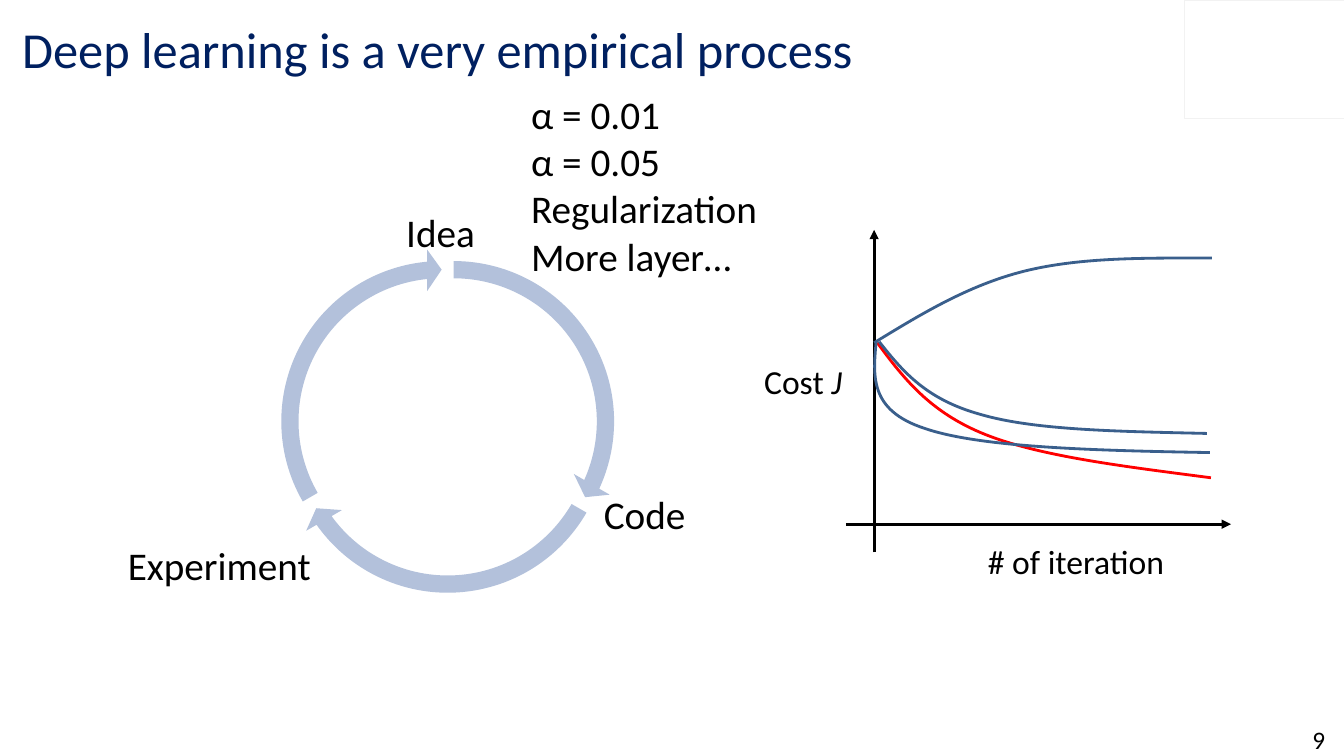
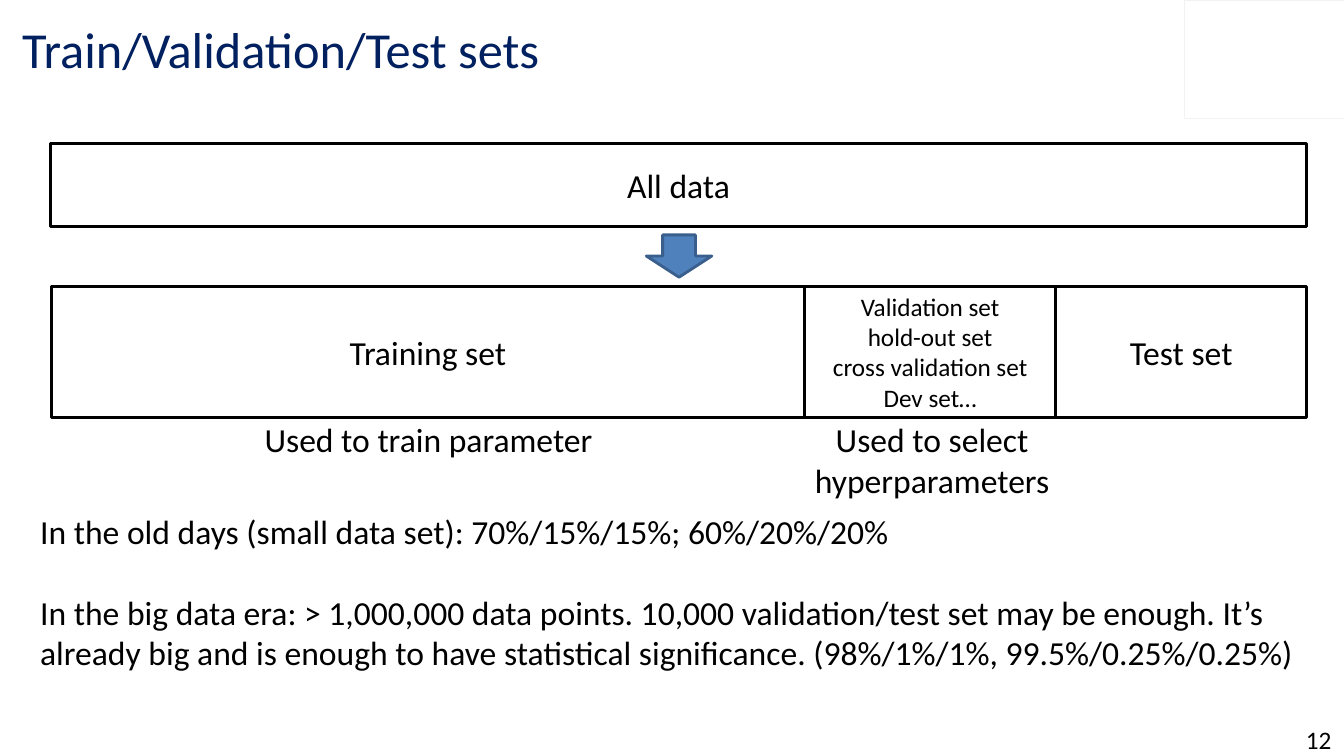
from dataclasses import dataclass

from lxml.etree import SubElement
from pptx import Presentation
from pptx.dml.color import RGBColor
from pptx.enum.shapes import MSO_CONNECTOR, MSO_SHAPE
from pptx.enum.text import MSO_ANCHOR as Anchor, MSO_AUTO_SIZE, PP_ALIGN as Align
from pptx.oxml.ns import qn
from pptx.util import Pt

PX = 9144  # EMU per px, 100 px to the inch
TITLE_ONLY = 5


@dataclass(frozen=True)
class Theme:
    font: str = "Calibri"
    title: str = "002060"
    ink: str = "000000"
    paper: str = "FFFFFF"
    frame: str = "F2F2F2"
    cycle: str = "B3C1DB"
    arrow: str = "4F81BD"
    curve: str = "3A5F8C"
    highlight: str = "FF0000"
    title_size: int = 36
    large: int = 28
    body: int = 24
    small: int = 18
    rule: float = 2.25
    curve_rule: float = 2


THEME = Theme()

SLIDE_SIZE = (1333, 750)
TITLE_BOX = (12, 10, 1029, 75)
CORNER_BOX = (1174, 0, 159, 117)
NUMBER_BOX = (1283, 717, 50, 33)

# Cycle: position of each arrow, then its end and start angle adjustments
CYCLE_SIZE = 342
CYCLE_ARROWS = [
    (279, 247, 14.72, 161.99),
    (273, 258, 86.72, 18.01),
    (267, 247, 158.73, 90),
]
CYCLE_LABELS = [
    ("Idea", (393, 202, 89, 57)),
    ("Code", (589, 482, 102, 57)),
    ("Experiment", (117, 532, 203, 57)),
]
TRIALS = ["α = 0.01", "α = 0.05", "Regularization", "More layer…"]
TRIALS_BOX = (517, 85, 246, 199)

# Cost chart: each curve is a start followed by two Bézier segments
AXES = [((867, 548), (867, 228)), ((839, 520), (1221, 520))]
COST_BOX = (748, 353, 98, 50)
ITERATION_BOX = (970, 532, 197, 50)
COST_CURVES = [
    (THEME.highlight, [(870, 340), (896, 375), (922, 409), (977, 431),
                       (1032, 453), (1117, 463), (1201, 474)]),
    (THEME.curve, [(869, 339), (866, 373), (862, 407), (917, 425),
                   (972, 444), (1086, 447), (1200, 449)]),
    (THEME.curve, [(867, 340), (913, 312), (960, 283), (1016, 269),
                   (1072, 255), (1137, 256), (1202, 256)]),
    (THEME.curve, [(872, 339), (895, 368), (918, 396), (972, 411),
                   (1026, 427), (1111, 428), (1197, 430)]),
]

# Data sets: text, type size and share of the row
ALL_DATA_BOX = (50, 142, 1246, 83)
DOWN_ARROW_BOX = (641, 233, 65, 42)
SETS_LEFT, SETS_TOP, SETS_HEIGHT, SHARE_WIDTH = 51, 284, 130, 249
DATA_SETS = [
    (["Training set"], THEME.body, 3),
    (["Validation set", "hold-out set", "cross validation set", "Dev set…"],
     THEME.small, 1),
    (["Test set"], THEME.body, 1),
]
CAPTIONS = [
    ("Used to train parameter", (251, 411, 348, 50), False),
    ("Used to select hyperparameters", (786, 411, 277, 91), True),
]
SPLIT_NOTES = [
    "In the old days (small data set): 70%/15%/15%; 60%/20%/20%",
    "In the big data era: > 1,000,000 data points. 10,000 validation/test set "
    "may be enough. It’s already big and is enough to have statistical "
    "significance. (98%/1%/1%, 99.5%/0.25%/0.25%)",
]
NOTES_BOX = (30, 502, 1265, 172)
NOTES_GAP = 29


def emu(lengths):
    return [round(length * PX) for length in lengths]


def rgb(color):
    return RGBColor.from_string(color)


def write(frame, lines, size, color=THEME.ink, align=Align.LEFT, gap=0):
    """Fill a text frame, one paragraph a line, with gap points between them."""
    for index, line in enumerate(lines):
        paragraph = frame.add_paragraph() if index else frame.paragraphs[0]
        paragraph.text = line
        paragraph.alignment = align
        paragraph.space_before = Pt(gap if index else 0)
        font = paragraph.font
        font.name, font.size = THEME.font, Pt(size)
        font.color.rgb = rgb(color)


def add_text(slide, box, lines, size=THEME.body, align=Align.LEFT,
             wrap=False, anchor=Anchor.TOP, gap=0):
    frame = slide.shapes.add_textbox(*emu(box)).text_frame
    frame.word_wrap = wrap
    frame.vertical_anchor = anchor
    write(frame, lines, size, align=align, gap=gap)
    return frame


def paint(shape, fill=None, line=None, width=THEME.rule):
    shape.shadow.inherit = False
    if fill:
        shape.fill.solid()
        shape.fill.fore_color.rgb = rgb(fill)
    else:
        shape.fill.background()
    if line:
        shape.line.color.rgb = rgb(line)
        shape.line.width = Pt(width)
    else:
        shape.line.fill.background()


def add_shape(slide, kind, box, **style):
    shape = slide.shapes.add_shape(kind, *emu(box))
    paint(shape, **style)
    return shape


def add_data_box(slide, box, lines, size):
    shape = add_shape(slide, MSO_SHAPE.RECTANGLE, box,
                      fill=THEME.paper, line=THEME.ink)
    shape.text_frame.vertical_anchor = Anchor.MIDDLE
    write(shape.text_frame, lines, size, align=Align.CENTER)


def add_axis(slide, start, end):
    axis = slide.shapes.add_connector(
        MSO_CONNECTOR.STRAIGHT, *emu(start), *emu(end))
    axis.line.color.rgb = rgb(THEME.ink)
    axis.line.width = Pt(THEME.rule)
    SubElement(axis.line._get_or_add_ln(), qn("a:tailEnd"), type="triangle")
    SubElement(axis.element.spPr, qn("a:effectLst"))


def add_curve(slide, color, points):
    """Draw a freeform whose points after the first are Bézier triples."""
    start, *controls = [emu(point) for point in points]
    builder = slide.shapes.build_freeform(*start)
    builder.add_line_segments(controls, close=False)
    shape = builder.convert_to_shape()
    outline = next(shape.element.iter(qn("a:path")))
    segments = outline.findall(qn("a:lnTo"))
    for first in range(0, len(segments), 3):
        bezier = SubElement(outline, qn("a:cubicBezTo"))
        for segment in segments[first:first + 3]:
            bezier.append(segment[0])
            outline.remove(segment)
    paint(shape, line=color, width=THEME.curve_rule)


def add_slide(presentation, title, number):
    slide = presentation.slides.add_slide(presentation.slide_layouts[TITLE_ONLY])
    heading = slide.shapes.title
    heading.left, heading.top, heading.width, heading.height = emu(TITLE_BOX)
    heading.text_frame.auto_size = MSO_AUTO_SIZE.NONE
    heading.text_frame.vertical_anchor = Anchor.MIDDLE
    write(heading.text_frame, [title], THEME.title_size, THEME.title)
    add_shape(slide, MSO_SHAPE.RECTANGLE, CORNER_BOX, line=THEME.frame, width=0.25)
    add_text(slide, NUMBER_BOX, [str(number)], THEME.small, Align.CENTER,
             wrap=True, anchor=Anchor.MIDDLE)
    return slide


def build_process_slide(presentation):
    slide = add_slide(presentation, "Deep learning is a very empirical process", 9)
    for left, top, end_angle, start_angle in CYCLE_ARROWS:
        arrow = add_shape(slide, MSO_SHAPE.CIRCULAR_ARROW,
                          (left, top, CYCLE_SIZE, CYCLE_SIZE), fill=THEME.cycle)
        settings = (0.05, 3.28, end_angle, start_angle, 0.06)
        for index, value in enumerate(settings):
            arrow.adjustments[index] = value
    for label, box in CYCLE_LABELS:
        add_text(slide, box, [label], THEME.large)
    add_text(slide, TRIALS_BOX, TRIALS, THEME.large)

    for start, end in AXES:
        add_axis(slide, start, end)
    cost_label = add_text(slide, COST_BOX, ["Cost "])
    symbol = cost_label.paragraphs[0].add_run()
    symbol.text = "J"
    symbol.font.italic = True
    add_text(slide, ITERATION_BOX, ["# of iteration"])
    for color, points in COST_CURVES:
        add_curve(slide, color, points)


def build_data_sets_slide(presentation):
    slide = add_slide(presentation, "Train/Validation/Test sets", 12)
    add_shape(slide, MSO_SHAPE.DOWN_ARROW, DOWN_ARROW_BOX,
              fill=THEME.arrow, line=THEME.curve, width=THEME.curve_rule)
    add_data_box(slide, ALL_DATA_BOX, ["All data"], THEME.body)
    left = SETS_LEFT
    for lines, size, share in DATA_SETS:
        width = share * SHARE_WIDTH
        add_data_box(slide, (left, SETS_TOP, width, SETS_HEIGHT), lines, size)
        left += width
    add_text(slide, NOTES_BOX, SPLIT_NOTES, wrap=True, gap=NOTES_GAP)
    for caption, box, wrap in CAPTIONS:
        add_text(slide, box, [caption], align=Align.CENTER, wrap=wrap)


def main():
    presentation = Presentation()
    presentation.slide_width, presentation.slide_height = emu(SLIDE_SIZE)
    build_process_slide(presentation)
    build_data_sets_slide(presentation)
    presentation.save("out.pptx")


if __name__ == "__main__":
    main()
